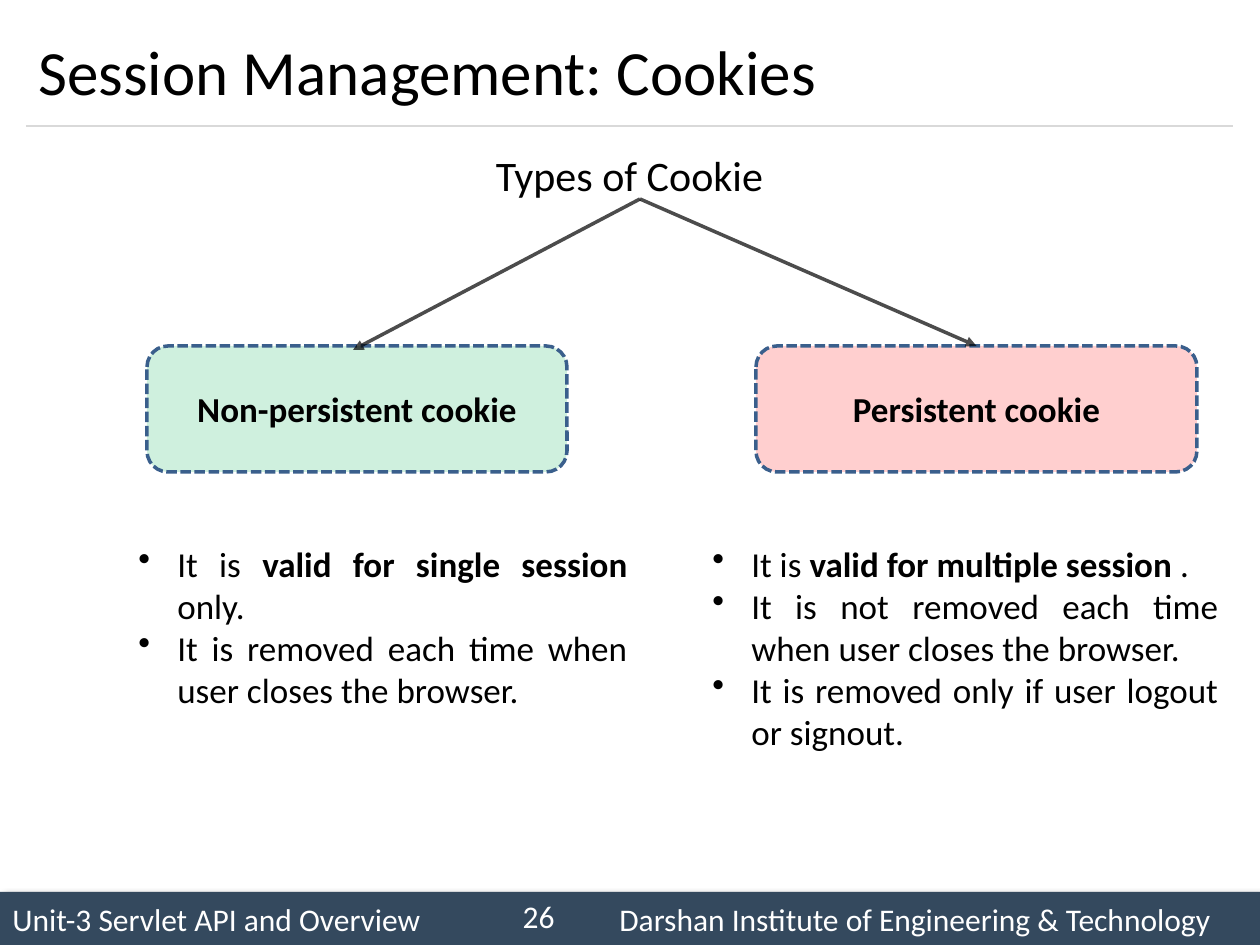
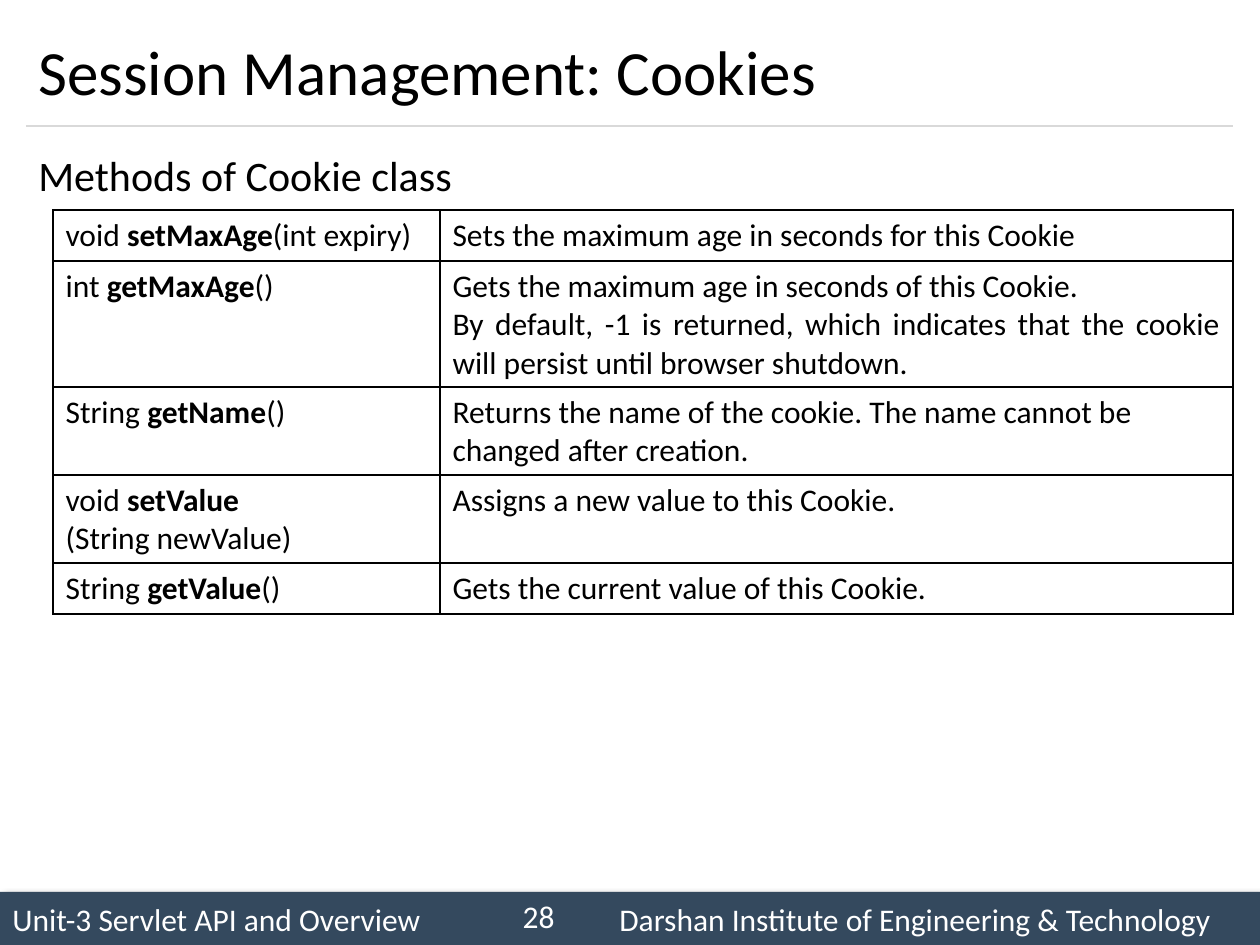
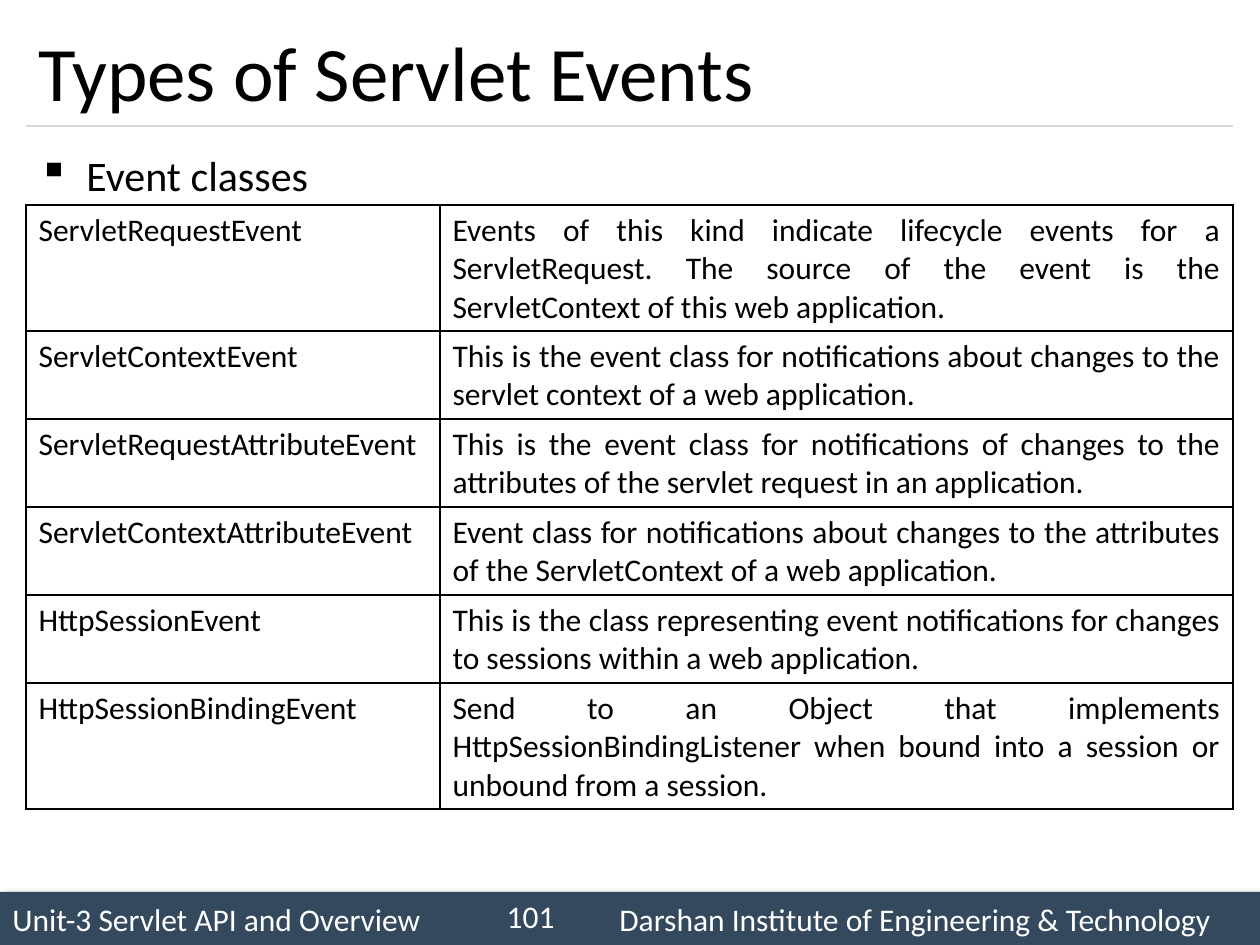
from dataclasses import dataclass
from lxml.etree import SubElement
from pptx import Presentation
from pptx.dml.color import RGBColor
from pptx.enum.dml import MSO_LINE
from pptx.enum.shapes import MSO_CONNECTOR, MSO_SHAPE
from pptx.enum.text import MSO_ANCHOR, PP_ALIGN
from pptx.oxml.ns import qn
from pptx.util import Emu, Pt

EMU_PER_INCH, PX_PER_INCH = 914400, 126


def px(length):
    return Emu(round(length * EMU_PER_INCH / PX_PER_INCH))


@dataclass(frozen=True)
class Theme:
    font: str = "Calibri"
    ink: str = "000000"
    light: str = "FFFFFF"
    band: str = "34495E"
    rule: str = "D9D9D9"
    outline: str = "3A5F8C"
    green: str = "00B050"
    red: str = "FF0000"
    title: int = 36
    large_title: int = 44
    heading: int = 24
    list_text: int = 20
    small: int = 18


THEME = Theme()
# Table row height by number of text lines
ROW_HEIGHT = {1: 51, 2: 88, 3: 126}
DESCRIPTION_WIDTH = 793
RIGHT_EDGE = 1233


class Deck:
    def __init__(self, theme):
        self.theme = theme
        self.presentation = Presentation()
        self.presentation.slide_width = px(1260)
        self.presentation.slide_height = px(945)
        self.slide = None

    # Text and colour helpers
    def paint(self, color_format, color, alpha=100):
        color_format.rgb = RGBColor.from_string(color)
        if alpha < 100:
            holder = color_format._xFill.find(qn("a:srgbClr"))
            SubElement(holder, qn("a:alpha"), val=str(alpha * 1000))

    def fill_frame(self, frame, paragraphs, size, color=None, align=PP_ALIGN.LEFT,
                   bullet=None, indent=0, tab=None, spacing=None, bold=False):
        """Each paragraph is a string, or a tuple whose every second part is bold."""
        frame.word_wrap = True
        for number, parts in enumerate(paragraphs):
            paragraph = frame.add_paragraph() if number else frame.paragraphs[0]
            properties = paragraph._p.get_or_add_pPr()
            if bullet:
                properties.set("marL", str(px(indent)))
                properties.set("indent", str(-px(indent)))
                SubElement(properties, qn("a:buChar"), char=bullet)
            if tab:
                stops = SubElement(properties, qn("a:tabLst"))
                SubElement(stops, qn("a:tab"), pos=str(px(tab)), algn="l")
            paragraph.alignment = align
            if spacing:
                paragraph.line_spacing = spacing
            for position, part in enumerate([parts] if isinstance(parts, str) else parts):
                run = paragraph.add_run()
                run.text = part
                run.font.name = self.theme.font
                run.font.size = Pt(size)
                run.font.bold = bold or position % 2 == 1
                self.paint(run.font.color, color or self.theme.ink)

    # Elements
    def text(self, box, paragraphs, size, anchor=MSO_ANCHOR.TOP, **style):
        frame = self.slide.shapes.add_textbox(*map(px, box)).text_frame
        frame.vertical_anchor = anchor
        self.fill_frame(frame, paragraphs, size, **style)

    def block(self, kind, box, fill, alpha=100):
        block = self.slide.shapes.add_shape(kind, *map(px, box))
        block.shadow.inherit = False
        block.fill.solid()
        self.paint(block.fill.fore_color, fill, alpha)
        block.line.fill.background()
        block.text_frame.vertical_anchor = MSO_ANCHOR.MIDDLE
        return block

    def cookie_box(self, box, label, fill):
        cookie = self.block(MSO_SHAPE.ROUNDED_RECTANGLE, box, fill, alpha=19)
        self.paint(cookie.line.color, self.theme.outline)
        cookie.line.width = Pt(2)
        cookie.line.dash_style = MSO_LINE.SQUARE_DOT
        self.fill_frame(cookie.text_frame, [label], self.theme.list_text,
                        align=PP_ALIGN.CENTER, bold=True)
        return cookie

    def line(self, start, end, color, width, alpha=100, arrow=False):
        line = self.slide.shapes.add_connector(
            MSO_CONNECTOR.STRAIGHT, *map(px, start + end))
        line.line.width = Pt(width)
        line.line.fill.solid()
        self.paint(line.line.color, color, alpha)
        if arrow:
            SubElement(line.line._get_or_add_ln(), qn("a:tailEnd"), type="triangle")
        SubElement(line._element.spPr, qn("a:effectLst"))
        return line

    def border(self, cell):
        properties = cell._tc.get_or_add_tcPr()
        for position, side in enumerate(("lnL", "lnR", "lnT", "lnB")):
            edge = SubElement(properties, qn(f"a:{side}"), w=str(Pt(1)))
            fill = SubElement(edge, qn("a:solidFill"))
            SubElement(fill, qn("a:srgbClr"), val=self.theme.ink)
            properties.insert(position, edge)

    def table_row(self, left, top, height, name, description, align):
        """One bordered row with a name and its description."""
        widths = (RIGHT_EDGE - left - DESCRIPTION_WIDTH, DESCRIPTION_WIDTH)
        table = self.slide.shapes.add_table(
            1, 2, *map(px, (left, top, sum(widths), height))).table
        table.first_row = table.horz_banding = False
        columns = zip(widths, (name, description), (PP_ALIGN.LEFT, align))
        for index, (width, paragraphs, cell_align) in enumerate(columns):
            table.columns[index].width = px(width)
            cell = table.cell(0, index)
            cell.fill.background()
            self.border(cell)
            self.fill_frame(cell.text_frame, paragraphs, self.theme.small, align=cell_align)

    def stacked_rows(self, left, top, rows):
        for lines, name, description, align in rows:
            self.table_row(left, top, ROW_HEIGHT[lines], name, description, align)
            top += ROW_HEIGHT[lines]

    # Shared slide frame
    def footer(self, number):
        band = self.block(MSO_SHAPE.RECTANGLE, (0, 892, 1260, 53), self.theme.band)
        effects = band._element.spPr.find(qn("a:effectLst"))
        shadow = SubElement(effects, qn("a:outerShdw"), blurRad=str(Pt(4)),
                            dist=str(Pt(3)), dir="2700000", rotWithShape="0")
        shade = SubElement(shadow, qn("a:srgbClr"), val=self.theme.ink)
        SubElement(shade, qn("a:alpha"), val="40000")
        self.fill_frame(band.text_frame,
                        ["Unit-3 Servlet API and Overview\tDarshan Institute of Engineering & Technology"],
                        self.theme.small, color=self.theme.light, tab=607)
        self.text((483, 891, 84, 50), [str(number)], self.theme.small,
                  anchor=MSO_ANCHOR.MIDDLE, color=self.theme.light, align=PP_ALIGN.RIGHT)

    def new_slide(self, title, heading, number, title_size=None, **heading_style):
        self.slide = self.presentation.slides.add_slide(self.presentation.slide_layouts[6])
        self.footer(number)
        self.line((26, 126), (1233, 126), self.theme.rule, 0.75)
        self.text((26, 15, 1207, 111), [title], title_size or self.theme.title,
                  anchor=MSO_ANCHOR.MIDDLE)
        self.text((26, 136, 1207, 735), [heading], self.theme.heading,
                  spacing=1.14, **heading_style)


def cookie_types(deck):
    deck.new_slide("Session Management: Cookies", "Types of Cookie", 26,
                   align=PP_ALIGN.CENTER)
    deck.cookie_box((147, 346, 420, 126), "Non-persistent cookie", THEME.green)
    persistent = deck.cookie_box((756, 346, 441, 126), "Persistent cookie", THEME.red)

    # Branches from the heading to both kinds
    branch_start = (640, 199)
    deck.line(branch_start, (353, 350), THEME.ink, 2, alpha=69, arrow=True)
    to_persistent = deck.line(branch_start, (976, 346), THEME.ink, 2, alpha=70, arrow=True)
    to_persistent.end_connect(persistent, 0)

    # Properties of each kind
    properties = [
        ((126, 536, 514, 183), [
            ("It is ", "valid for single session", " only."),
            "It is removed each time when user closes the browser."]),
        ((700, 536, 531, 224), [
            ("It is ", "valid for multiple session", " ."),
            "It is not removed each time when user closes the browser.",
            "It is removed only if user logout or signout."]),
    ]
    for box, points in properties:
        deck.text(box, points, THEME.list_text, align=PP_ALIGN.JUSTIFY,
                  bullet="•", indent=39)


def cookie_methods(deck):
    deck.new_slide("Session Management: Cookies", "Methods of Cookie class", 28)
    left, justify = PP_ALIGN.LEFT, PP_ALIGN.JUSTIFY
    deck.stacked_rows(53, 210, [
        (1, [("void ", "setMaxAge", "(int expiry)")],
         ["Sets the maximum age in seconds for this Cookie"], left),
        (3, [("int ", "getMaxAge", "()")],
         ["Gets the maximum age in seconds of this Cookie.",
          "By default, -1 is returned, which indicates that the cookie will "
          "persist until browser shutdown."], justify),
        (2, [("String ", "getName", "()")],
         ["Returns the name of the cookie. The name cannot be changed after creation."], left),
        (2, [("void ", "setValue"), "(String newValue)"],
         ["Assigns a new value to this Cookie."], left),
        (1, [("String ", "getValue", "()")],
         ["Gets the current value of this Cookie."], left),
    ])


def servlet_events(deck):
    deck.new_slide("Types of Servlet Events", "Event classes", 101,
                   title_size=THEME.large_title, bullet="▪", indent=48)
    events = [
        (3, "ServletRequestEvent",
         "Events of this kind indicate lifecycle events for a ServletRequest. "
         "The source of the event is the ServletContext of this web application."),
        (2, "ServletContextEvent",
         "This is the event class for notifications about changes to the servlet "
         "context of a web application."),
        (2, "ServletRequestAttributeEvent",
         "This is the event class for notifications of changes to the attributes "
         "of the servlet request in an application."),
        (2, "ServletContextAttributeEvent",
         "Event class for notifications about changes to the attributes of the "
         "ServletContext of a web application."),
        (2, "HttpSessionEvent",
         "This is the class representing event notifications for changes to "
         "sessions within a web application."),
        (3, "HttpSessionBindingEvent",
         "Send to an Object that implements HttpSessionBindingListener when bound "
         "into a session or unbound from a session."),
    ]
    deck.stacked_rows(26, 205, [(lines, [name], [description], PP_ALIGN.JUSTIFY)
                                for lines, name, description in events])


def main():
    deck = Deck(THEME)
    cookie_types(deck)
    cookie_methods(deck)
    servlet_events(deck)
    deck.presentation.save("out.pptx")


if __name__ == "__main__":
    main()
